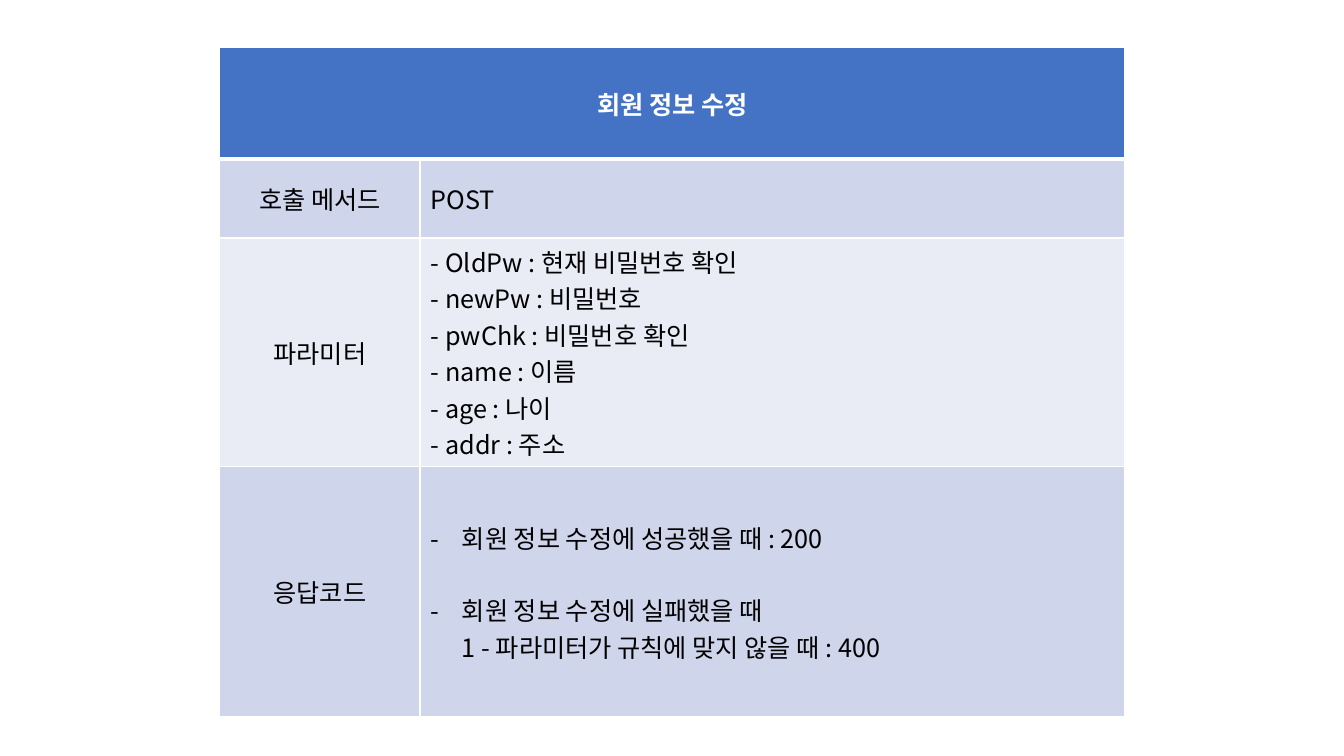
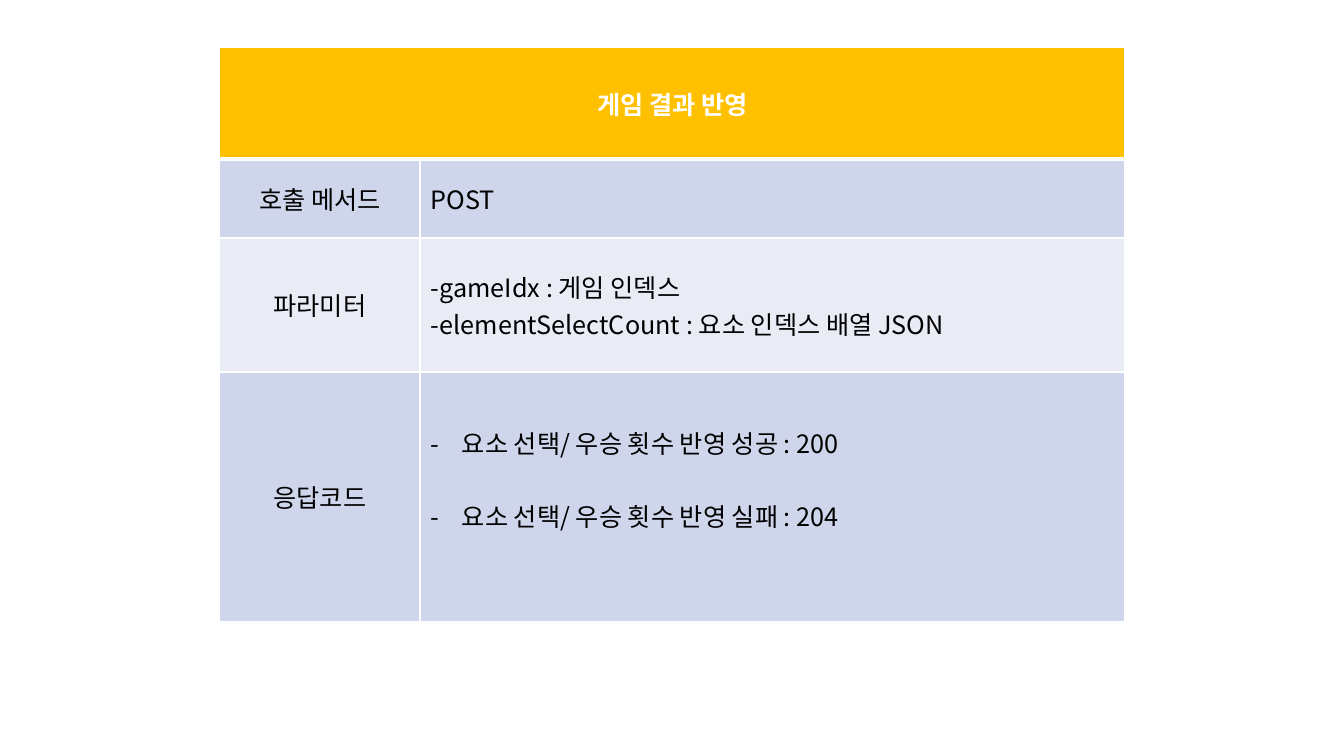
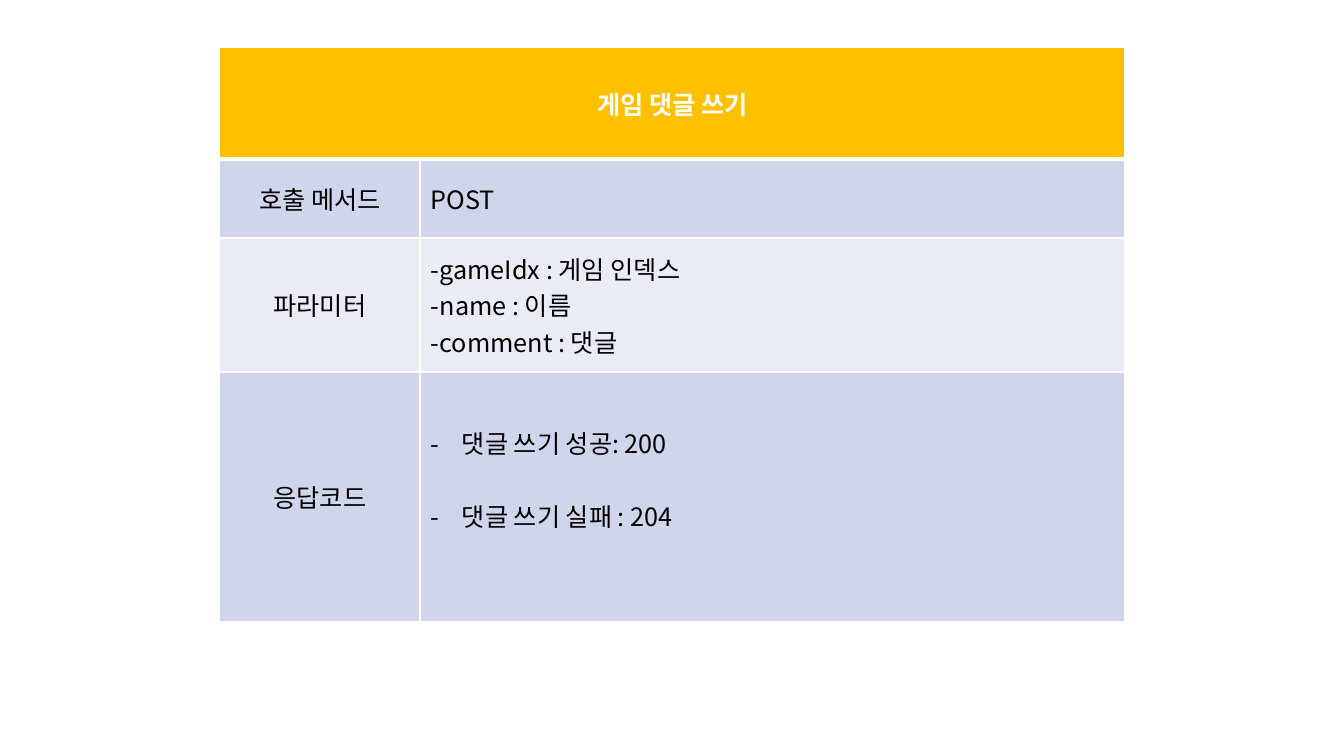
import pptx
import pptx.dml.color
import pptx.enum.text
import pptx.oxml
import pptx.oxml.ns
import pptx.util

EMU_PER_PX = 914400 / 100.8
FONT = "Noto Sans CJK KR"
WHITE, BLACK = "FFFFFF", "000000"
MEMBER_BLUE, GAME_YELLOW = "4472C4", "FFC000"
DARK_BAND, LIGHT_BAND = "CFD5EA", "E9EBF5"

TABLE_LEFT, TABLE_TOP = 219, 47
COLUMN_WIDTHS = [201, 705]
HEADER_HEIGHT, METHOD_HEIGHT, RESPONSE_HEIGHT = 112, 79, 250
MARGIN_LEFT, MARGIN_RIGHT, MARGIN_Y = 11, 10, 5
BULLET_INDENT = 31
LINE_PT = 26
LINE_PX = 36


def px(length):
    return pptx.util.Emu(round(length * EMU_PER_PX))


def color(value):
    return pptx.dml.color.RGBColor.from_string(value)


def add_dash_bullet(paragraph):
    properties = paragraph._p.get_or_add_pPr()
    properties.set("marL", str(px(BULLET_INDENT)))
    properties.set("indent", str(-px(BULLET_INDENT)))
    for tag, attribute, value in (("a:buFont", "typeface", FONT), ("a:buChar", "char", "-")):
        element = pptx.oxml.ns.qn(tag)
        properties.append(properties.makeelement(element, {attribute: value}))


def write_text(text_frame, lines, text_color=BLACK, bold=False, centered=False,
               bullets=False, gap=0):
    """Write one paragraph a line, with gap points between paragraphs."""
    align = pptx.enum.text.PP_ALIGN
    for index, line in enumerate(lines):
        paragraph = text_frame.add_paragraph() if index else text_frame.paragraphs[0]
        paragraph.text = line
        paragraph.alignment = align.CENTER if centered else align.LEFT
        if bullets:
            add_dash_bullet(paragraph)
        if index and gap:
            paragraph.space_before = pptx.util.Pt(gap)
        for run in paragraph.runs:
            run.font.size = pptx.util.Pt(18)
            run.font.name = FONT
            run.font.bold = bold
            run.font.color.rgb = color(text_color)


def set_borders(cell, top=1, bottom=1):
    """Draw white borders; top and bottom are widths in points."""
    properties = cell._tc.get_or_add_tcPr()
    widths = {"lnL": 1, "lnR": 1, "lnT": top, "lnB": bottom}
    for position, (tag, width) in enumerate(widths.items()):
        properties.insert(position, pptx.oxml.parse_xml(
            f'<a:{tag} {pptx.oxml.ns.nsdecls("a")} w="{pptx.util.Pt(width)}">'
            f'<a:solidFill><a:srgbClr val="{WHITE}"/></a:solidFill></a:{tag}>'))


def format_cell(cell, fill, **borders):
    cell.fill.solid()
    cell.fill.fore_color.rgb = color(fill)
    cell.vertical_anchor = pptx.enum.text.MSO_ANCHOR.MIDDLE
    cell.margin_left, cell.margin_right = px(MARGIN_LEFT), px(MARGIN_RIGHT)
    cell.margin_top = cell.margin_bottom = px(MARGIN_Y)
    set_borders(cell, **borders)


def add_api_slide(presentation, title, header_color, parameters, responses,
                  parameter_height=134, space_below=0):
    """Add a call's table; space_below lifts the responses off the cell's middle."""
    slide = presentation.slides.add_slide(presentation.slide_layouts[6])
    heights = [HEADER_HEIGHT, METHOD_HEIGHT, parameter_height, RESPONSE_HEIGHT]
    table = slide.shapes.add_table(
        len(heights), len(COLUMN_WIDTHS), px(TABLE_LEFT), px(TABLE_TOP),
        px(sum(COLUMN_WIDTHS)), px(sum(heights))).table
    table.horz_banding = False
    for column, width in zip(table.columns, COLUMN_WIDTHS):
        column.width = px(width)
    fills = [header_color, DARK_BAND, LIGHT_BAND, DARK_BAND]
    for index, (row, height, fill) in enumerate(zip(table.rows, heights, fills)):
        row.height = px(height)
        for cell in row.cells:
            format_cell(cell, fill, top=3 if index == 1 else 1, bottom=3 if index == 0 else 1)

    header = table.cell(0, 0)
    header.merge(table.cell(0, 1))
    write_text(header.text_frame, [title], text_color=WHITE, bold=True, centered=True)
    for index, label in enumerate(["호출 메서드", "파라미터", "응답코드"], start=1):
        write_text(table.cell(index, 0).text_frame, [label], centered=True)
    write_text(table.cell(1, 1).text_frame, ["POST"])
    write_text(table.cell(2, 1).text_frame, parameters)
    response = table.cell(3, 1)
    response.margin_bottom = px(MARGIN_Y + space_below)
    write_text(response.text_frame, responses, bullets=True, gap=LINE_PT)


def main():
    presentation = pptx.Presentation()
    presentation.slide_width, presentation.slide_height = px(1344), px(756)
    add_api_slide(
        presentation, "회원 정보 수정", MEMBER_BLUE,
        ["- OldPw : 현재 비밀번호 확인", "- newPw : 비밀번호", "- pwChk : 비밀번호 확인",
         "- name : 이름", "- age : 나이", "- addr : 주소"],
        ["회원 정보 수정에 성공했을 때 : 200",
         "회원 정보 수정에 실패했을 때\n1 - 파라미터가 규칙에 맞지 않을 때 : 400"],
        parameter_height=228)
    add_api_slide(
        presentation, "게임 결과 반영", GAME_YELLOW,
        ["-gameIdx : 게임 인덱스", "-elementSelectCount : 요소 인덱스 배열 JSON"],
        ["요소 선택/ 우승 횟수 반영 성공 : 200", "요소 선택/ 우승 횟수 반영 실패 : 204"],
        space_below=LINE_PX)
    add_api_slide(
        presentation, "게임 댓글 쓰기", GAME_YELLOW,
        ["-gameIdx : 게임 인덱스", "-name : 이름", "-comment : 댓글"],
        ["댓글 쓰기 성공: 200", "댓글 쓰기 실패 : 204"],
        space_below=LINE_PX)
    presentation.save("out.pptx")


if __name__ == "__main__":
    main()
